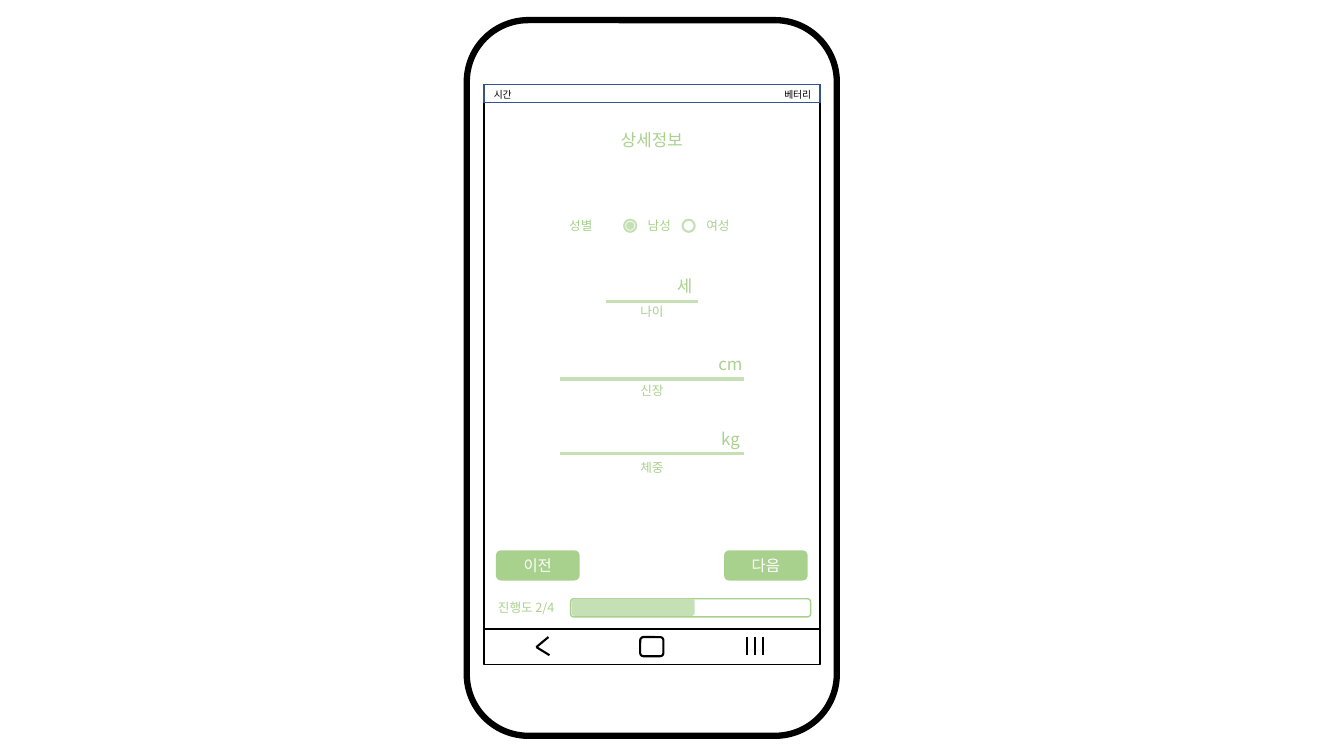
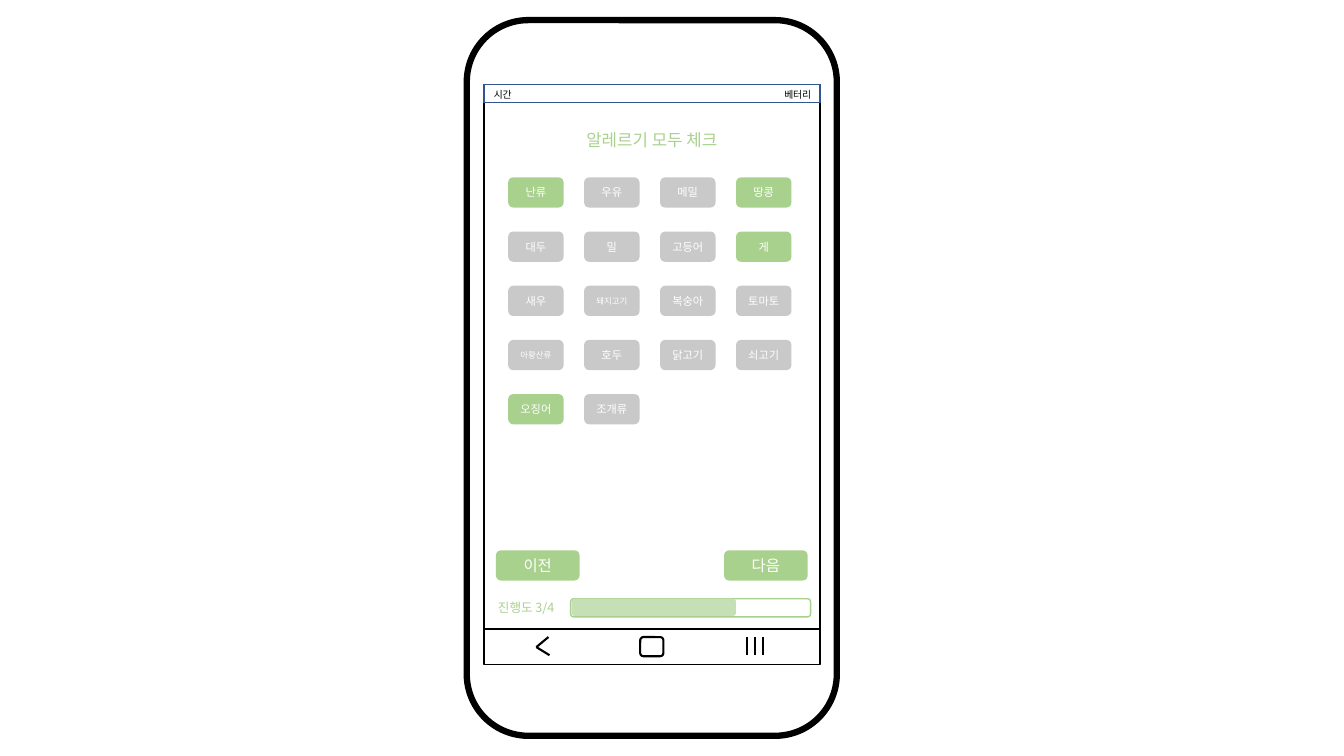
"""Build two phone-app wireframe screens: personal details and allergy checklist."""
from dataclasses import dataclass

from lxml.etree import SubElement
from pptx import Presentation
from pptx.dml.color import RGBColor
from pptx.enum.shapes import MSO_CONNECTOR, MSO_SHAPE
from pptx.enum.text import MSO_ANCHOR, PP_ALIGN
from pptx.oxml.ns import qn
from pptx.util import Inches, Pt

STATUS = ("시간", "베터리")
PREVIOUS, NEXT = "이전", "다음"
PROGRESS, STEPS = "진행도", 4

DETAILS_TITLE = "상세정보"
GENDER = "성별"
GENDER_OPTIONS = [("남성", 6.25, 6.54, True), ("여성", 6.83, 7.12, False)]
FIELDS = [
    ("나이", "세", 0.91, 2.99, -0.02),
    ("신장", "cm", 1.82, 3.76, -0.01),
    ("체중", "kg", 1.82, 4.5, 0.01),
]

ALLERGY_TITLE = "알레르기 모두 체크"
ALLERGENS = [
    ["난류", "우유", "메밀", "땅콩"],
    ["대두", "밀", "고등어", "게"],
    ["새우", "돼지고기", "복숭아", "토마토"],
    ["아황산류", "호두", "닭고기", "쇠고기"],
    ["오징어", "조개류"],
]
CHECKED = {"난류", "땅콩", "게", "오징어"}


@dataclass(frozen=True)
class Theme:
    font: str = "Noto Sans CJK KR"
    ink: str = "000000"
    paper: str = "FFFFFF"
    status: str = "325491"
    green: str = "A9D18E"
    pale: str = "C5E0B4"
    grey: str = "C9C9C9"
    title: int = 12
    button: int = 11
    label: int = 9
    chip: int = 8
    small: int = 7
    tiny: int = 6


THEME = Theme()
SLIDE_W, SLIDE_H = 13.33, 7.5
SCREEN_X, SCREEN_W = 0.36 * SLIDE_W, 0.25 * SLIDE_W
SCREEN_Y, SCREEN_H = 0.84, 5.74
CENTER = SCREEN_X + SCREEN_W / 2
NAV_Y, NAV_H = 6.24, 0.35
NAV_TOP, NAV_MIDDLE, NAV_BOTTOM = 6.32, 6.42, 6.5
BUTTON_W, BUTTON_H, BUTTON_Y, BUTTON_INSET = 0.83, 0.3, 5.46, 0.12
BAR_X, BAR_Y, BAR_W, BAR_H = 5.66, 5.94, 2.38, 0.18
CHIP_X, CHIP_Y, CHIP_W, CHIP_H = 5.04, 1.76, 0.55, 0.3
CHIP_STEP_X, CHIP_STEP_Y = 2.26 / 3, 2.15 / 4
RADIO_Y, RADIO, DOT = 2.24, 0.12, 0.08

RECT, ROUND, OVAL = MSO_SHAPE.RECTANGLE, MSO_SHAPE.ROUNDED_RECTANGLE, MSO_SHAPE.OVAL


def rgb(value):
    return RGBColor.from_string(value)


def write(frame, words, size, color, align):
    frame.word_wrap = True
    paragraph = frame.paragraphs[0]
    paragraph.text = words
    paragraph.alignment = align
    paragraph.font.name = THEME.font
    paragraph.font.size = Pt(size)
    paragraph.font.color.rgb = rgb(color)
    for run in paragraph.runs:
        SubElement(run._r.get_or_add_rPr(), qn("a:ea")).set("typeface", THEME.font)


def box(slide, kind, x, y, w, h, fill, outline=None, weight=1):
    shape = slide.shapes.add_shape(kind, Inches(x), Inches(y), Inches(w), Inches(h))
    shape.shadow.inherit = False
    shape.fill.solid()
    shape.fill.fore_color.rgb = rgb(fill)
    if outline:
        shape.line.color.rgb = rgb(outline)
        shape.line.width = Pt(weight)
    else:
        shape.line.fill.background()
    return shape


def circle(slide, x, y, diameter, *style):
    box(slide, OVAL, x - diameter / 2, y - diameter / 2, diameter, diameter, *style)


def button(slide, words, x, y, w, h, fill, size):
    frame = box(slide, ROUND, x, y, w, h, fill).text_frame
    frame.vertical_anchor = MSO_ANCHOR.MIDDLE
    write(frame, words, size, THEME.paper, PP_ALIGN.CENTER)


def label(slide, words, x, y, w, h, size, color=THEME.green, align=PP_ALIGN.LEFT):
    area = slide.shapes.add_textbox(Inches(x), Inches(y), Inches(w), Inches(h))
    write(area.text_frame, words, size, color, align)


def centered(slide, words, center, y, size, w=2.22):
    h = 0.3 if size == THEME.title else 0.25
    label(slide, words, center - w / 2, y, w, h, size, align=PP_ALIGN.CENTER)


def line(slide, x1, y1, x2, y2, color, weight):
    stroke = slide.shapes.add_connector(
        MSO_CONNECTOR.STRAIGHT, Inches(x1), Inches(y1), Inches(x2), Inches(y2))
    stroke.line.color.rgb = rgb(color)
    stroke.line.width = Pt(weight)
    SubElement(stroke._element.spPr, qn("a:effectLst"))


def navigation(slide):
    box(slide, RECT, SCREEN_X, NAV_Y, SCREEN_W, NAV_H, THEME.paper, THEME.ink)
    for x, y in ((5.44, NAV_TOP), (5.45, NAV_BOTTOM)):
        line(slide, x, y, 5.32, NAV_MIDDLE, THEME.ink, 1.5)
    box(slide, ROUND, CENTER - 0.115, NAV_TOP, 0.23, 0.19, THEME.paper, THEME.ink, 1.5)
    for column in range(3):
        x = 7.41 + 0.08 * column
        line(slide, x, NAV_TOP, x, NAV_BOTTOM, THEME.ink, 1.5)


def phone(deck, title, step, filled):
    slide = deck.slides.add_slide(deck.slide_layouts[6])
    box(slide, ROUND, CENTER - 3.67 / 2, 0.2, 3.67, 7.1, THEME.paper, THEME.ink, 4.5)
    box(slide, RECT, SCREEN_X, SCREEN_Y, SCREEN_W, SCREEN_H, THEME.paper, THEME.ink)
    box(slide, RECT, SCREEN_X, SCREEN_Y, SCREEN_W, 0.18, THEME.paper, THEME.status)
    for words, x in zip(STATUS, (SCREEN_X, 7.68)):
        label(slide, words, x, 0.83, 0.52, 0.22, THEME.small, THEME.ink)
    centered(slide, title, CENTER, 1.24, THEME.title)

    label(slide, f"{PROGRESS} {step}/{STEPS}", 4.84, 5.9, 1.63, 0.25, THEME.label)
    box(slide, ROUND, BAR_X, BAR_Y, BAR_W, BAR_H, THEME.paper, THEME.green)
    box(slide, ROUND, BAR_X + 0.01, BAR_Y, filled, BAR_H - 0.01, THEME.pale)

    next_x = SCREEN_X + SCREEN_W - BUTTON_INSET - BUTTON_W
    for words, x in ((PREVIOUS, SCREEN_X + BUTTON_INSET), (NEXT, next_x)):
        button(slide, words, x, BUTTON_Y, BUTTON_W, BUTTON_H, THEME.green, THEME.button)
    navigation(slide)
    return slide


def details(deck):
    slide = phone(deck, DETAILS_TITLE, 2, 1.22)
    centered(slide, GENDER, 5.76, 2.11, THEME.label, 0.87)
    for words, radio_x, words_x, chosen in GENDER_OPTIONS:
        centered(slide, words, words_x, 2.11, THEME.label, 0.56)
        circle(slide, radio_x, RADIO_Y, RADIO, THEME.paper, THEME.pale, 1.5)
        if chosen:
            circle(slide, radio_x, RADIO_Y, DOT, THEME.pale)
    for name, unit, width, y, gap in FIELDS:
        right = CENTER + width / 2
        line(slide, right - width, y, right, y, THEME.pale, 2.25)
        centered(slide, unit, right - 0.13, y - 0.3, THEME.title)
        centered(slide, name, CENTER, y + gap, THEME.label)


def allergies(deck):
    slide = phone(deck, ALLERGY_TITLE, 3, 1.63)
    for row, names in enumerate(ALLERGENS):
        for column, name in enumerate(names):
            button(slide, name, CHIP_X + column * CHIP_STEP_X, CHIP_Y + row * CHIP_STEP_Y,
                   CHIP_W, CHIP_H, THEME.green if name in CHECKED else THEME.grey,
                   THEME.tiny if len(name) > 3 else THEME.chip)


deck = Presentation()
deck.slide_width, deck.slide_height = Inches(SLIDE_W), Inches(SLIDE_H)
details(deck)
allergies(deck)
deck.save("out.pptx")
